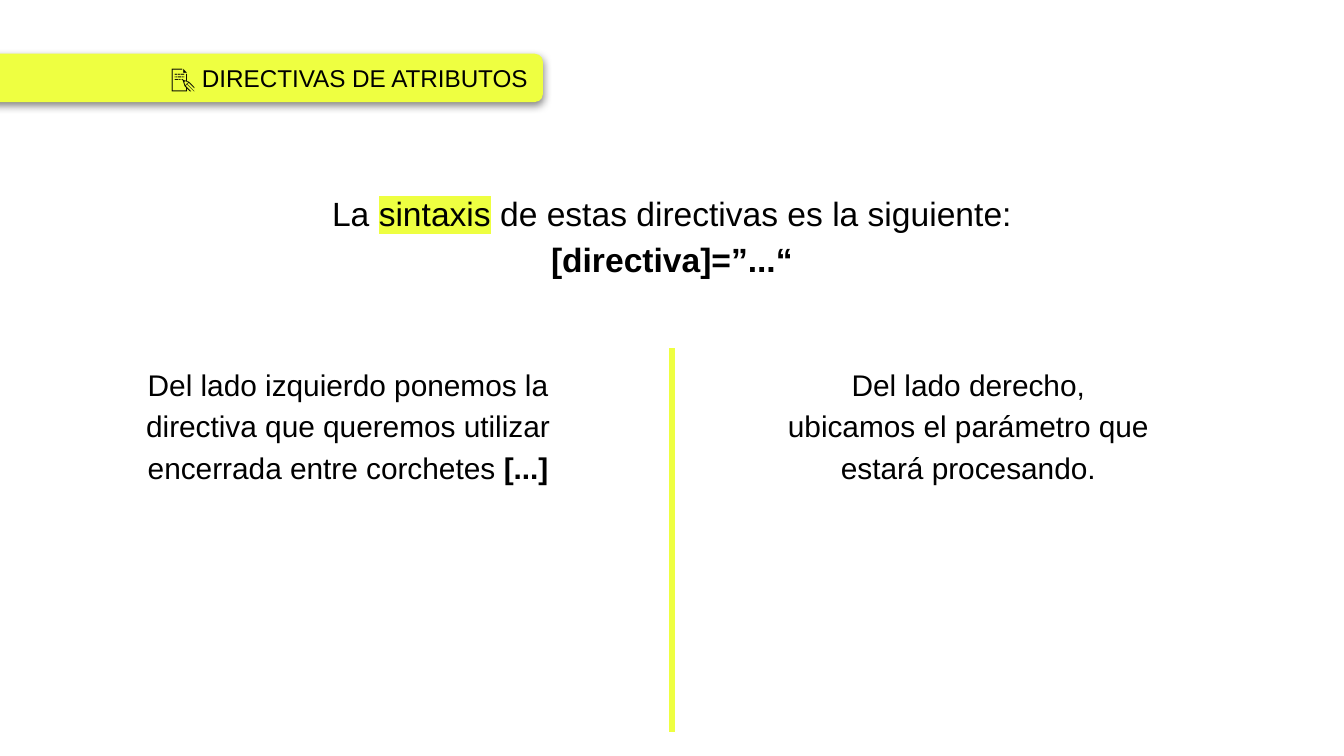
import pptx
import pptx.dml.color
import pptx.enum.shapes
import pptx.enum.text
import pptx.oxml
import pptx.oxml.ns
import pptx.util
from pptx.util import Inches

YELLOW = pptx.dml.color.RGBColor(0xEE, 0xFF, 0x41)
WHITE = pptx.dml.color.RGBColor(0xFF, 0xFF, 0xFF)
BLACK = pptx.dml.color.RGBColor(0x00, 0x00, 0x00)
ALIGN = pptx.enum.text.PP_ALIGN
ANCHOR = pptx.enum.text.MSO_ANCHOR
NS = pptx.oxml.ns.nsdecls("a")


def add_highlight(run, color):
    highlight = pptx.oxml.parse_xml(
        f'<a:highlight {NS}><a:srgbClr val="{color}"/></a:highlight>')
    fill = run.font._element.find(pptx.oxml.ns.qn("a:solidFill"))
    fill.addnext(highlight)


def write_text(shape, paragraphs, size, align=ALIGN.CENTER, anchor=ANCHOR.TOP,
               spacing=None, highlight=None):
    """Each paragraph is a list of (text, run overrides) pairs."""
    frame = shape.text_frame
    frame.word_wrap = True
    frame.vertical_anchor = anchor
    frame.margin_left = frame.margin_right = Inches(0.1)
    frame.margin_top = frame.margin_bottom = Inches(0.1)
    for index, parts in enumerate(paragraphs):
        paragraph = frame.add_paragraph() if index else frame.paragraphs[0]
        paragraph.alignment = align
        paragraph.line_spacing = spacing
        for text, overrides in parts:
            run = paragraph.add_run()
            run.text = text
            run.font.name = "Arial"
            run.font.size = pptx.util.Pt(size)
            run.font.bold = overrides.get("bold", False)
            run.font.color.rgb = BLACK
            color = overrides.get("highlight", highlight)
            if color is not None:
                add_highlight(run, color)


def add_explanation(slide, left, top, width, paragraphs, size):
    box = slide.shapes.add_textbox(
        Inches(left), Inches(top), Inches(width), Inches(1.09))
    write_text(box, paragraphs, size, spacing=1.15, highlight=WHITE)


def add_title_tab(slide, title):
    tab = slide.shapes.add_shape(
        pptx.enum.shapes.MSO_SHAPE.ROUNDED_RECTANGLE,
        Inches(-0.1), Inches(0.4), Inches(4.14), Inches(0.36))
    tab.adjustments[0] = 0.17
    tab.fill.solid()
    tab.fill.fore_color.rgb = YELLOW
    tab.line.fill.background()
    # Soft shadow below the tab
    tab.shadow.inherit = False
    effects = tab._element.spPr.find(pptx.oxml.ns.qn("a:effectLst"))
    effects.append(pptx.oxml.parse_xml(
        f'<a:outerShdw {NS} blurRad="{pptx.util.Pt(4.5)}" '
        f'dist="{pptx.util.Pt(1.5)}" dir="5400000" algn="bl" rotWithShape="0">'
        f'<a:srgbClr val="{BLACK}"><a:alpha val="50000"/></a:srgbClr>'
        '</a:outerShdw>'))
    write_text(tab, [[(title, {})]], 13, align=ALIGN.RIGHT, anchor=ANCHOR.MIDDLE)


def add_divider(slide, x, top, bottom):
    divider = slide.shapes.add_connector(
        pptx.enum.shapes.MSO_CONNECTOR.STRAIGHT,
        Inches(x), Inches(top), Inches(x), Inches(bottom))
    divider.line.color.rgb = YELLOW
    divider.line.width = pptx.util.Pt(3)
    divider._element.spPr.append(pptx.oxml.parse_xml(f"<a:effectLst {NS}/>"))


def main():
    deck = pptx.Presentation()
    # Widescreen, 16:9
    deck.slide_width = Inches(10)
    deck.slide_height = deck.slide_width * 9 // 16
    slide = deck.slides.add_slide(deck.slide_layouts[6])

    # Syntax statement
    add_explanation(slide, 0.93, 1.29, 8.14, [
        [("La ", {}), ("sintaxis", {"highlight": YELLOW}),
         (" de estas directivas es la siguiente:", {})],
        [("[directiva]=”...“", {"bold": True})],
    ], 18)

    # Left and right sides of the syntax
    columns_top = 2.59
    add_explanation(slide, 0.93, columns_top, 3.32, [
        [("Del lado izquierdo ponemos la directiva que queremos utilizar "
          "encerrada entre corchetes ", {}), ("[...]", {"bold": True})],
    ], 16)
    add_explanation(slide, 5.75, columns_top, 2.91, [
        [("Del lado derecho, ubicamos el parámetro que estará procesando.", {})],
    ], 16)

    # Title tab and column divider
    add_title_tab(slide, "📝 DIRECTIVAS DE ATRIBUTOS")
    add_divider(slide, 5, columns_top, 5.45)

    deck.save("out.pptx")


if __name__ == "__main__":
    main()
